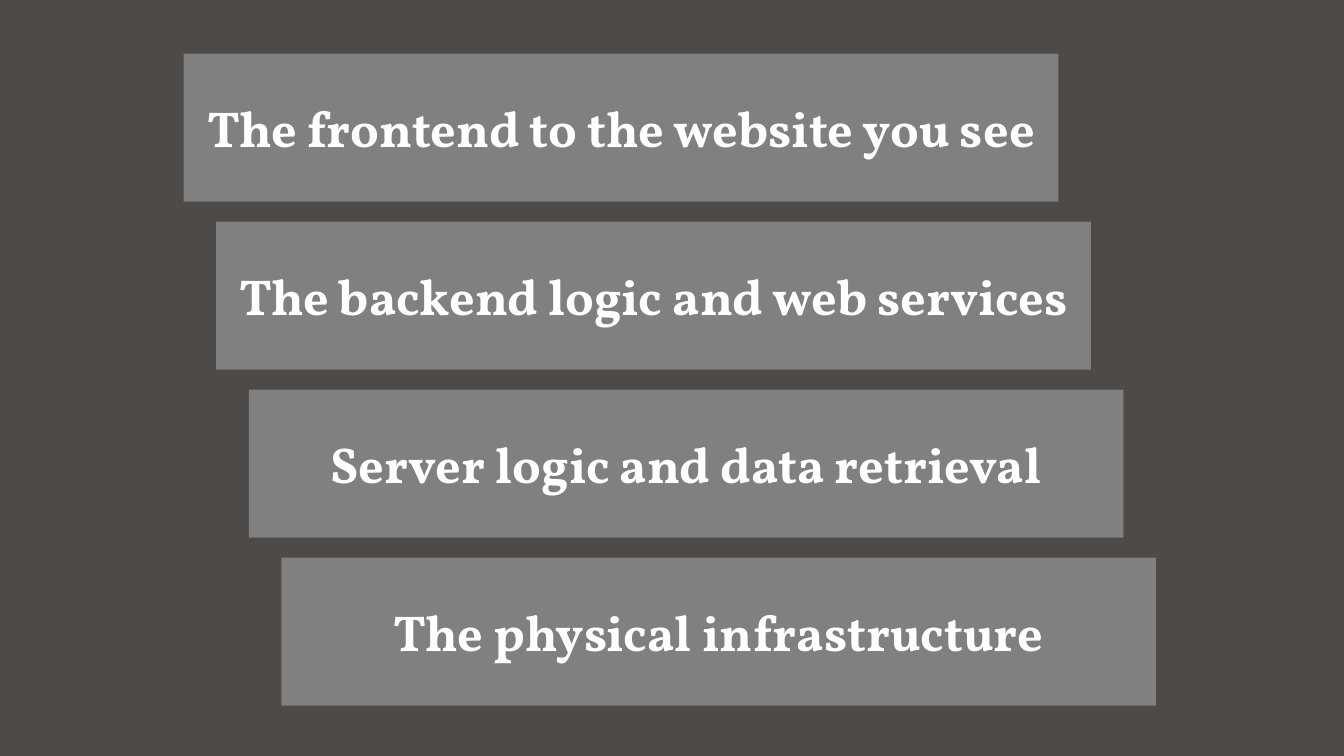
from dataclasses import dataclass

import pptx
import pptx.dml.color
import pptx.enum.shapes
import pptx.enum.text
import pptx.slide
import pptx.util

EMU_PER_PX = 9525
SLIDE_WIDTH, SLIDE_HEIGHT = 1280, 720

BACKGROUND = pptx.dml.color.RGBColor(0x4E, 0x4A, 0x47)
LAYER_FILL = pptx.dml.color.RGBColor(0x80, 0x80, 0x80)
LAYER_TEXT = pptx.dml.color.RGBColor(0xFF, 0xFF, 0xFF)

# Staircase of equal layers
FIRST_LEFT, FIRST_TOP = 175, 51
STEP_RIGHT, STEP_DOWN = 31, 160
LAYER_WIDTH, LAYER_HEIGHT = 833, 141


@dataclass(frozen=True)
class Layer:
    label: str
    depth: int


LAYERS = [
    Layer("The frontend to the website you see", 0),
    Layer("The backend logic and web services", 1),
    Layer("Server logic and data retrieval", 2),
    Layer("The physical infrastructure", 3),
]


def px(length: int) -> pptx.util.Emu:
    return pptx.util.Emu(length * EMU_PER_PX)


def draw_layer(slide: pptx.slide.Slide, layer: Layer) -> None:
    block = slide.shapes.add_shape(
        pptx.enum.shapes.MSO_SHAPE.RECTANGLE,
        px(FIRST_LEFT + layer.depth * STEP_RIGHT),
        px(FIRST_TOP + layer.depth * STEP_DOWN),
        px(LAYER_WIDTH),
        px(LAYER_HEIGHT),
    )
    block.shadow.inherit = False
    block.fill.solid()
    block.fill.fore_color.rgb = LAYER_FILL
    block.line.fill.background()

    block.text_frame.word_wrap = True
    block.text_frame.vertical_anchor = pptx.enum.text.MSO_ANCHOR.MIDDLE
    label = block.text_frame.paragraphs[0]
    label.text = layer.label
    label.alignment = pptx.enum.text.PP_ALIGN.CENTER
    label.font.name = "Vollkorn"
    label.font.size = pptx.util.Pt(36)
    label.font.bold = True
    label.font.color.rgb = LAYER_TEXT


def main() -> None:
    deck = pptx.Presentation()
    deck.slide_width = px(SLIDE_WIDTH)
    deck.slide_height = px(SLIDE_HEIGHT)

    # Blank layout, since the slide has no title
    slide = deck.slides.add_slide(deck.slide_layouts[6])
    slide.background.fill.solid()
    slide.background.fill.fore_color.rgb = BACKGROUND

    for layer in LAYERS:
        draw_layer(slide, layer)

    deck.save("out.pptx")


if __name__ == "__main__":
    main()
